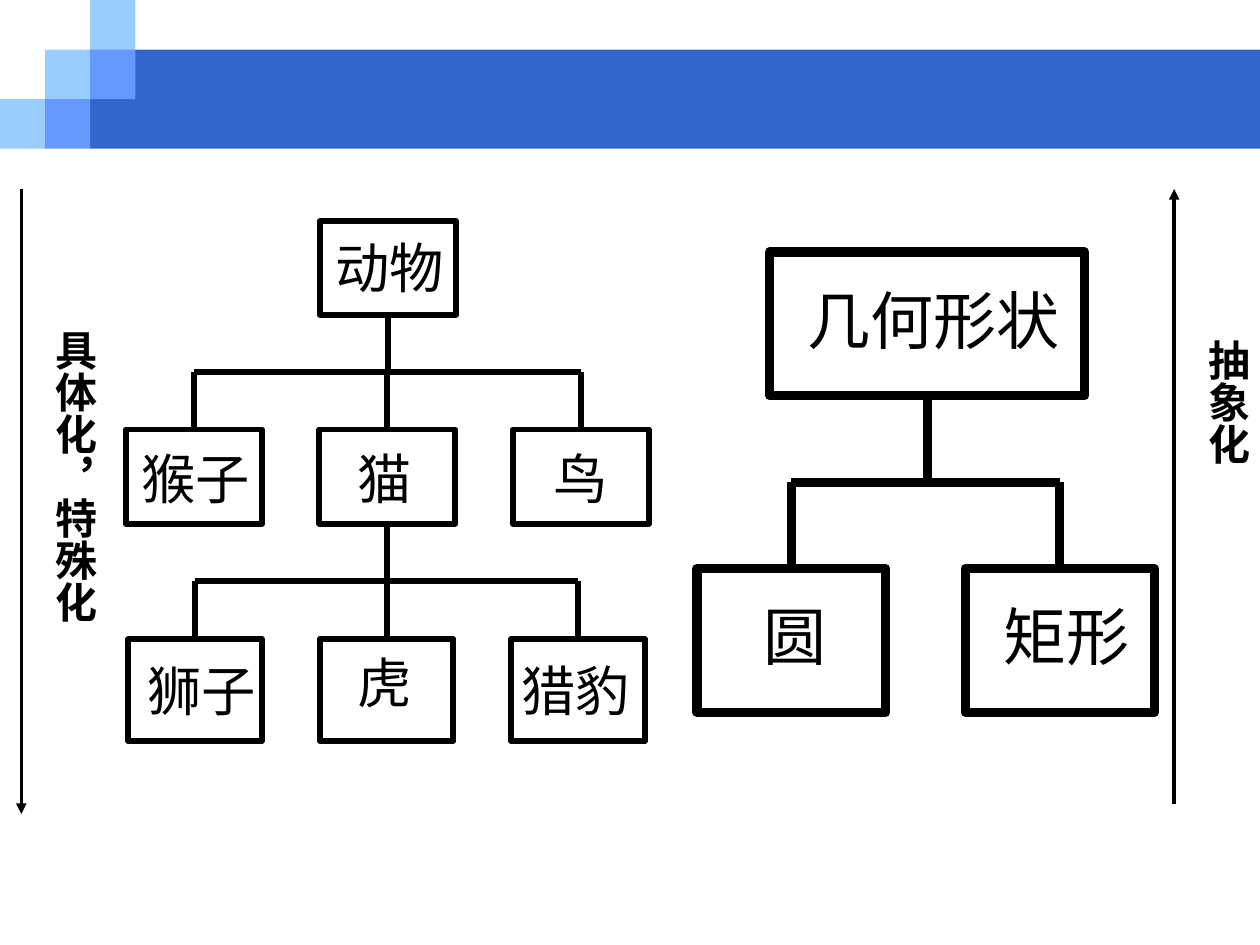
from lxml import etree
from pptx import Presentation
from pptx.dml.color import RGBColor
from pptx.enum.shapes import MSO_CONNECTOR, MSO_SHAPE
from pptx.enum.text import MSO_ANCHOR, PP_ALIGN
from pptx.oxml.ns import qn
from pptx.util import Cm, Pt

RECT = MSO_SHAPE.RECTANGLE
STRAIGHT = MSO_CONNECTOR.STRAIGHT
TOP = MSO_ANCHOR.TOP
CENTER = PP_ALIGN.CENTER
SANS, SERIF = "Noto Sans CJK SC", "Times New Roman"
BLUE, LIGHT, MID, BLACK = "3366CC", "99CCFF", "6699FF", "000000"


def color(code):
    return RGBColor.from_string(code)


def assign(target, values):
    for name, value in values.items():
        setattr(target, name, value)


class Board:
    """Style and current slide, with one method per kind of element."""

    def __init__(self, slide, ink=BLACK):
        self.slide, self.ink = slide, ink

    def block(self, x, y, w, h, fill):
        shape = self.slide.shapes.add_shape(RECT, Cm(x), Cm(y), Cm(w), Cm(h))
        shape.shadow.inherit = False
        shape.line.fill.background()
        shape.fill.solid()
        shape.fill.fore_color.rgb = color(fill)

    def words(self, frame, text, face, form):
        para = frame.paragraphs[0]
        para.alignment = CENTER
        run = para.add_run()
        run.text = text
        assign(run.font, {"name": face, **form})
        run.font.color.rgb = color(self.ink)
        east = etree.SubElement(run.font._element, qn("a:ea"))
        east.set("typeface", SANS)
        return para

    def node(self, text, x, y, size, style, drop, shift=0):
        """Framed word; drop is its top inset, shift moves it sideways."""
        width, points, face = style
        shape = self.slide.shapes.add_shape(RECT, Cm(x), Cm(y), *map(Cm, size))
        shape.shadow.inherit = False
        shape.fill.background()
        shape.line.color.rgb = color(self.ink)
        shape.line.width = Pt(width)
        frame = shape.text_frame
        assign(frame, {
            "word_wrap": False, "vertical_anchor": TOP,
            "margin_left": Cm(max(2 * shift, 0)),
            "margin_right": Cm(max(-2 * shift, 0)),
            "margin_top": Cm(drop), "margin_bottom": 0})
        para = self.words(frame, text, face, {"size": Pt(points)})
        para.line_spacing = 0.95
        return shape

    def line(self, x1, y1, x2, y2, width, arrow=False):
        wire = self.slide.shapes.add_connector(STRAIGHT, x1, y1, x2, y2)
        wire.line.color.rgb = color(self.ink)
        wire.line.width = Pt(width)
        props = wire._element.spPr
        if arrow:
            tip = etree.SubElement(props.find(qn("a:ln")), qn("a:tailEnd"))
            tip.set("type", "triangle")
        etree.SubElement(props, qn("a:effectLst"))
        return wire

    def branch(self, top, kids, width):
        """Trunk, crossbar and drops from one node to the row below."""
        mid = top.left + top.width // 2
        base = top.top + top.height
        bar = (base + kids[0].top) // 2
        self.line(mid, base, mid, bar, width).begin_connect(top, 2)
        for kid in kids:
            x = kid.left + kid.width // 2
            self.line(x, bar, x, kid.top, width).end_connect(kid, 0)
        for kid in (kids[0], kids[-1]):
            self.line(kid.left + kid.width // 2, bar, mid, bar, width)

    def label(self, text, x, y, w, h):
        """Bold caption set in a vertical column."""
        frame = self.slide.shapes.add_textbox(
            Cm(x), Cm(y), Cm(w), Cm(h)).text_frame
        assign(frame, {
            "word_wrap": True, "vertical_anchor": TOP,
            "margin_left": Cm(0.13), "margin_right": Cm(0.13),
            "margin_top": Cm(0.25), "margin_bottom": Cm(0.25)})
        frame._txBody.bodyPr.set("vert", "eaVert")
        self.words(frame, text, SERIF, {"size": Pt(24), "bold": True})


def main():
    deck = Presentation()
    deck.slide_width, deck.slide_height = Cm(25.4), Cm(19.05)
    board = Board(deck.slides.add_slide(deck.slide_layouts[6]))

    # Header band with its stair of squares
    step = 0.91
    board.block(2 * step, 1, 25.4 - 2 * step, 2, BLUE)
    for col, row in ((0, 2), (1, 1), (2, 0), (2, 1), (1, 2)):
        fill = LIGHT if col + row == 2 else MID
        board.block(col * step, row, step, 1, fill)

    # Animal tree
    thin, size = 3.37, (2.74, 1.9)
    kind, leaf = (thin, 31, SANS), (thin, 31, "Arial")
    animal = board.node("动物", 6.45, 4.45, size, kind, 0.36, 0.03)
    kinds = [
        board.node(text, 2.54 + 3.9 * i, 8.66, size, kind, 0.41, shift)
        for i, (text, shift) in enumerate(
            (("猴子", 0.03), ("猫", -0.06), ("鸟", 0)))]
    cats = [
        board.node(text, 2.59 + 3.86 * i, 12.88, (2.69, 2.06), leaf,
                   drop, shift)
        for i, (text, drop, shift) in enumerate(
            (("狮子", 0.46, 0.13), ("虎", 0.3, -0.04), ("猎豹", 0.46, -0.05)))]
    board.branch(animal, kinds, thin)
    board.branch(kinds[1], cats, thin)

    # Shape tree
    thick = 5.25
    form = (thick, 36, SANS)
    figure = board.node("几何形状", 15.52, 5.08, (6.35, 2.9), form, 0.7, 0.13)
    forms = [
        board.node(text, x, 11.46, (3.81, 2.9), form, 0.7, shift)
        for text, x, shift in (("圆", 14.05, 0.08), ("矩形", 19.46, 0.13))]
    board.branch(figure, forms, thick)

    # Direction arrows and captions
    for x, start, end in ((0.43, 3.81, 16.41), (23.67, 16.2, 3.81)):
        board.line(Cm(x), Cm(start), Cm(x), Cm(end), 2, arrow=True)
    board.label("具体化，特殊化", 0.64, 6.4, 1.52, 7.6)
    board.label("抽象化", 23.88, 6.6, 1.52, 7.6)

    deck.save("out.pptx")


if __name__ == "__main__":
    main()
